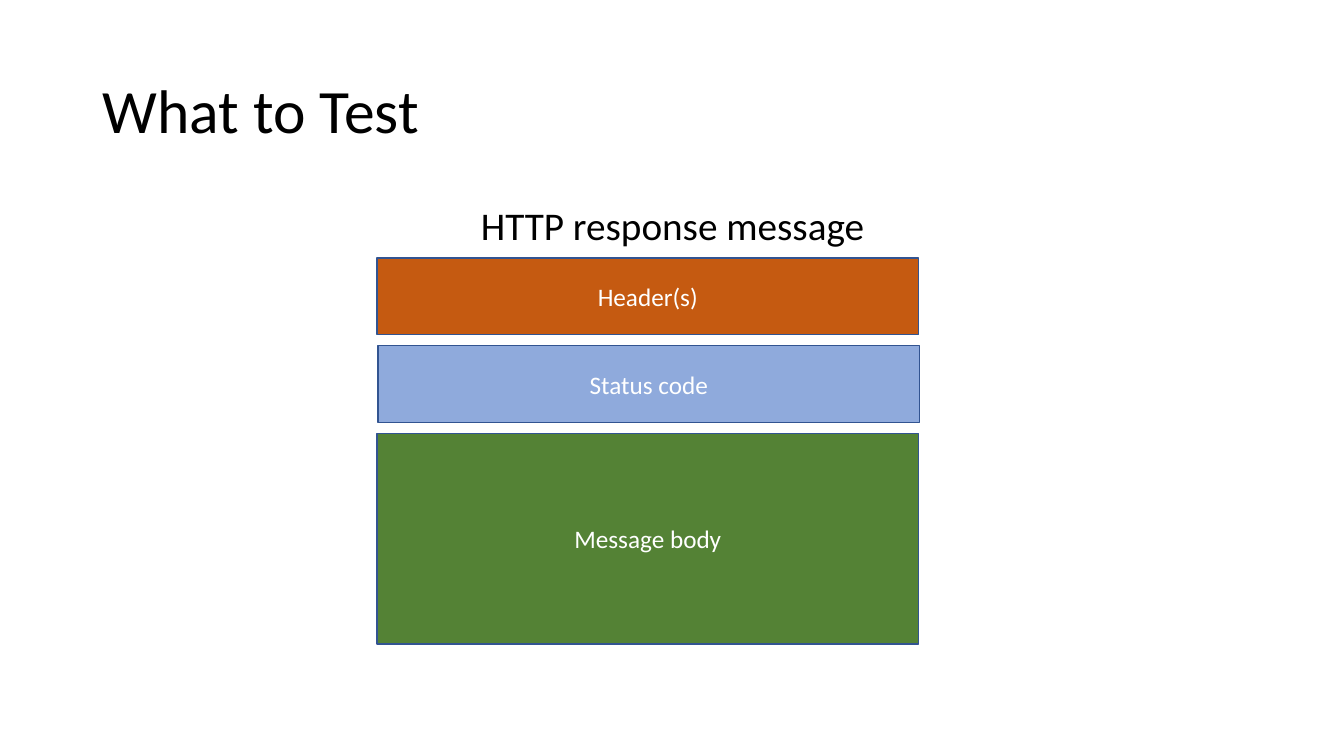
import pptx
import pptx.dml.color
import pptx.enum.shapes
import pptx.enum.text
import pptx.util

Inches, Pt = pptx.util.Inches, pptx.util.Pt
ALIGN = pptx.enum.text.PP_ALIGN
ANCHOR = pptx.enum.text.MSO_ANCHOR

COLORS = {
    "text": "000000",
    "label": "FFFFFF",
    "outline": "325491",
    "header": "C55A11",
    "status": "8FAADC",
    "body": "548235",
}


def rgb(name):
    return pptx.dml.color.RGBColor.from_string(COLORS[name])


def write(tf, text, size=18, font="Calibri", color="text", align=ALIGN.LEFT,
          anchor=ANCHOR.MIDDLE, line_spacing=1.0, before=0):
    tf.word_wrap = True
    tf.vertical_anchor = anchor
    p = tf.paragraphs[0]
    p.alignment = align
    p.line_spacing = line_spacing
    p.space_before = Pt(before)
    r = p.add_run()
    r.text = text
    r.font.size = Pt(size)
    r.font.name = font
    r.font.color.rgb = rgb(color)


class SlideBuilder:
    def __init__(self, prs):
        self.s = prs.slides.add_slide(prs.slide_layouts[6])
        self.line_width = Pt(1)

    def text(self, text, left, top, width, height, **style):
        box = self.s.shapes.add_textbox(
            Inches(left), Inches(top), Inches(width), Inches(height))
        write(box.text_frame, text, line_spacing=0.9, **style)

    def block(self, text, fill, left, top, width, height):
        sp = self.s.shapes.add_shape(
            pptx.enum.shapes.MSO_SHAPE.RECTANGLE,
            Inches(left), Inches(top), Inches(width), Inches(height))
        sp.shadow.inherit = False
        sp.fill.solid()
        sp.fill.fore_color.rgb = rgb(fill)
        sp.line.color.rgb = rgb("outline")
        sp.line.width = self.line_width
        write(sp.text_frame, text, color="label", align=ALIGN.CENTER)


def main():
    prs = pptx.Presentation()
    prs.slide_width, prs.slide_height = Inches(13.33), Inches(7.5)
    slide = SlideBuilder(prs)

    slide.text("What to Test", 0.92, 0.4, 11.5, 1.45, size=44)
    slide.text("HTTP response message", 0.92, 2, 11.5, 4.76, size=28,
               align=ALIGN.CENTER, anchor=ANCHOR.TOP, before=10)

    top, gap = 2.56, 0.11
    message_parts = [
        ("Header(s)", "header", 3.74, 0.76),
        ("Status code", "status", 3.75, 0.76),
        ("Message body", "body", 3.74, 2.09),
    ]
    for label, fill, left, height in message_parts:
        slide.block(label, fill, left, top, 5.37, height)
        top += height + gap

    prs.save("out.pptx")


if __name__ == "__main__":
    main()
